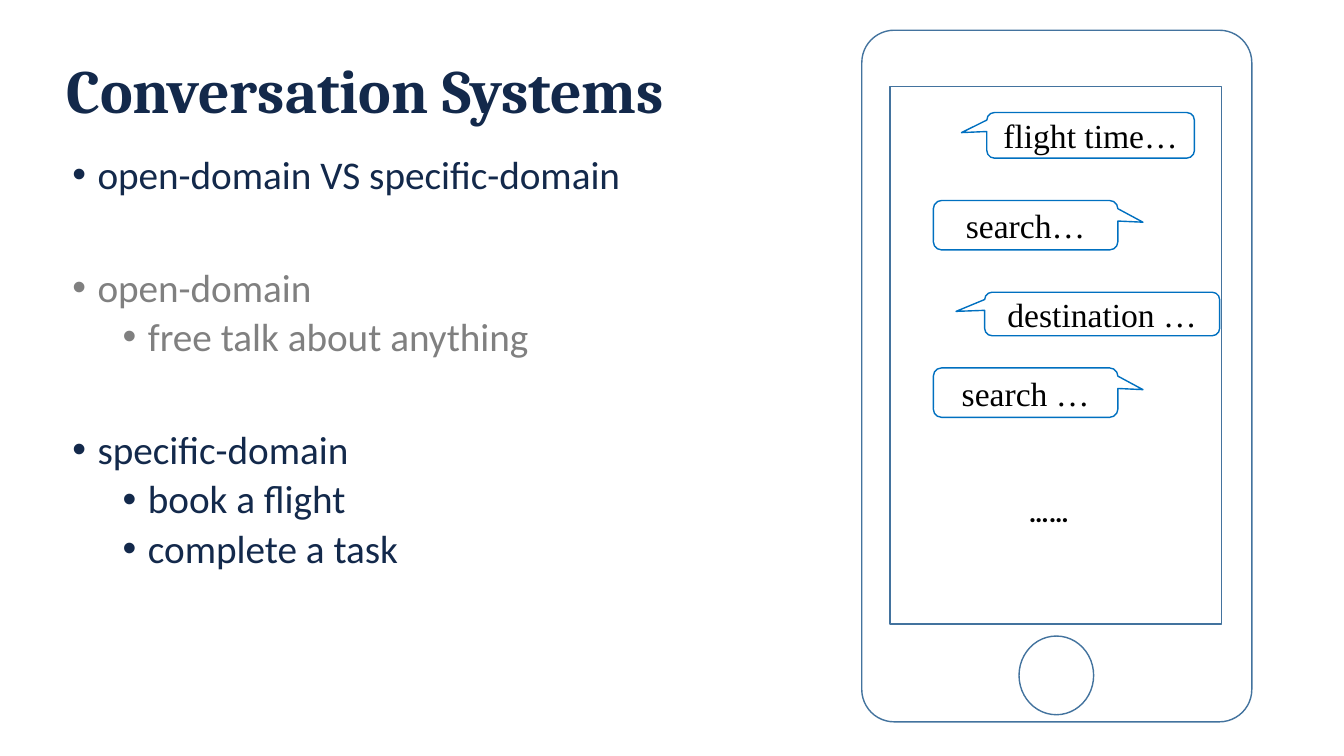
from lxml.etree import SubElement
from pptx import Presentation
from pptx.dml.color import RGBColor
from pptx.enum.shapes import MSO_SHAPE as Shape
from pptx.enum.text import MSO_ANCHOR as Anchor, PP_ALIGN as Align
from pptx.oxml.ns import qn
from pptx.util import Pt

COLORS = {"navy": "13294B", "gray": "808080", "black": "000000",
          "white": "FFFFFF", "phone": "43739E", "bubble": "0070C0"}
FONTS = {
    "title": {"name": "Cambria", "size": Pt(44), "bold": True},
    "body": {"name": "Calibri", "size": Pt(28)},
    "chat": {"name": "Times New Roman", "size": Pt(24)},
    "dots": {"name": "Calibri", "size": Pt(20), "bold": True},
}
BULLET_WIDTH = 18
LINE_SPACING = 0.9
TOPIC_GAP = 50.5
DETAIL_GAP = 5


def color(key):
    return RGBColor.from_string(COLORS[key])


class SlideBuilder:
    def __init__(self, slide):
        self.slide = slide

    def set_text(self, paragraph, text, font_key, color_key):
        paragraph.text = text
        for attribute, value in FONTS[font_key].items():
            setattr(paragraph.font, attribute, value)
        paragraph.font.color.rgb = color(color_key)

    def title(self, text, *box):
        heading = self.slide.shapes.title
        heading.left, heading.top, heading.width, heading.height = map(Pt, box)
        heading.text_frame.vertical_anchor = Anchor.MIDDLE
        paragraph = heading.text_frame.paragraphs[0]
        paragraph.alignment = Align.LEFT
        paragraph.line_spacing = LINE_SPACING
        self.set_text(paragraph, text, "title", "navy")

    def text_box(self, *box):
        frame = self.slide.shapes.add_textbox(*map(Pt, box)).text_frame
        frame.word_wrap = True
        return frame

    def bullets(self, entries, *box):
        """Lay out (level, text, color key) entries as a bulleted list."""
        frame = self.text_box(*box)
        for index, (level, text, color_key) in enumerate(entries):
            paragraph = frame.add_paragraph() if index else frame.paragraphs[0]
            paragraph.level = level
            paragraph.line_spacing = LINE_SPACING
            gap = DETAIL_GAP if level else TOPIC_GAP
            paragraph.space_before = Pt(gap if index else 0)
            properties = paragraph._p.get_or_add_pPr()
            properties.set("marL", str(Pt(BULLET_WIDTH + 36 * level)))
            properties.set("indent", str(-Pt(BULLET_WIDTH)))
            SubElement(properties, qn("a:buFont"), typeface="Arial")
            SubElement(properties, qn("a:buChar"), char="•")
            self.set_text(paragraph, text, "body", color_key)

    def outline(self, kind, line_key, *box, adjustments=()):
        shape = self.slide.shapes.add_shape(kind, *map(Pt, box))
        shape.shadow.inherit = False
        shape.fill.solid()
        shape.fill.fore_color.rgb = color("white")
        shape.line.color.rgb = color(line_key)
        shape.line.width = Pt(1)
        for index, value in enumerate(adjustments):
            shape.adjustments[index] = value
        return shape

    def bubble(self, text, tail, *box):
        """Draw a chat bubble; tail is its tip's horizontal offset over its width."""
        bubble = self.outline(Shape.ROUNDED_RECTANGULAR_CALLOUT, "bubble", *box,
                              adjustments=(tail, -0.06, 0.167))
        bubble.text_frame.vertical_anchor = Anchor.MIDDLE
        paragraph = bubble.text_frame.paragraphs[0]
        paragraph.alignment = Align.CENTER
        self.set_text(paragraph, text, "chat", "black")


def main():
    deck = Presentation()
    deck.slide_width, deck.slide_height = Pt(960), Pt(540)
    builder = SlideBuilder(deck.slides.add_slide(deck.slide_layouts[5]))

    builder.title("Conversation Systems", 40.3, 21.6, 872, 90)
    builder.bullets([
        (0, "open-domain VS specific-domain", "navy"),
        (0, "open-domain", "gray"),
        (1, "free talk about anything", "gray"),
        (0, "specific-domain", "navy"),
        (1, "book a flight", "navy"),
        (1, "complete a task", "navy"),
    ], 44.6, 107.3, 828, 342.7)

    builder.outline(Shape.ROUNDED_RECTANGLE, "phone", 615.6, 21.6, 278.6, 494,
                    adjustments=(0.083,))
    builder.outline(Shape.RECTANGLE, "phone", 635.8, 62, 236.9, 383.8)
    builder.outline(Shape.OVAL, "phone", 727.9, 454.3, 53.3, 56.2)

    left_tail, right_tail = -0.622, 0.636
    for text, tail, *box in (
        ("flight time…", left_tail, 704.9, 80.4, 148.3, 32.6),
        ("search…", right_tail, 666.7, 143.2, 131.8, 35.3),
        ("destination …", left_tail, 703.4, 208.8, 167.8, 31),
        ("search …", right_tail, 666.7, 262.8, 131.8, 35.3),
    ):
        builder.bubble(text, tail, *box)

    more = builder.text_box(727.9, 349.9, 99.4, 31.7)
    builder.set_text(more.paragraphs[0], "……", "dots", "black")

    deck.save("out.pptx")


if __name__ == "__main__":
    main()
